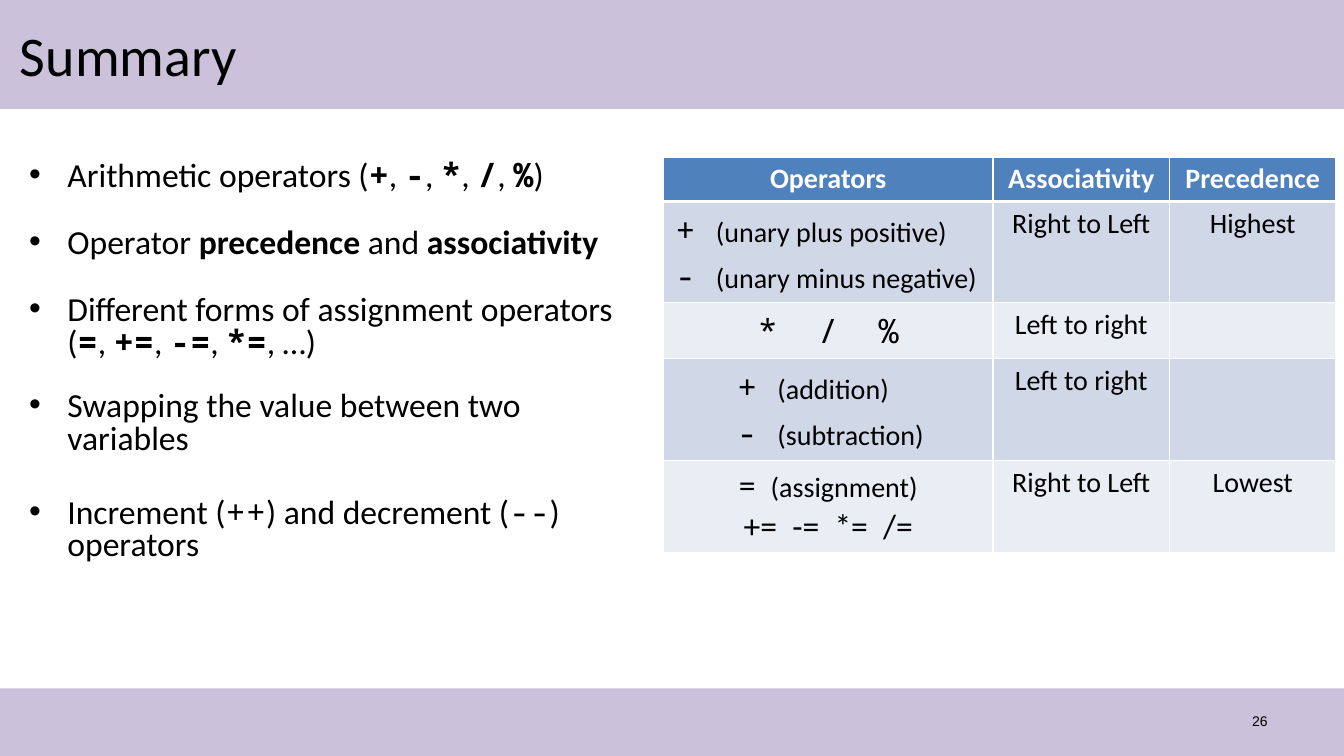
from lxml import etree
from pptx import Presentation
from pptx.dml.color import RGBColor
from pptx.enum.shapes import MSO_SHAPE
from pptx.enum.text import MSO_ANCHOR, PP_ALIGN
from pptx.oxml.ns import qn
from pptx.util import Inches, Pt

COLORS = {
    "band": "CCC1DA",
    "text": "000000",
    "white": "FFFFFF",
    "header": "4F81BD",
    "odd row": "D0D8E8",
    "even row": "E9EDF4",
}
SANS, MONO = "Calibri", "Noto Sans Mono"


def add_run(paragraph, text, size, font=SANS, bold=False, color="text", spacing=0):
    """Append a styled run; spacing widens its characters, in points."""
    run = paragraph.add_run()
    run.text = text
    run.font.size = Pt(size)
    run.font.name = font
    run.font.bold = bold
    run.font.color.rgb = RGBColor.from_string(COLORS[color])
    if spacing:
        run.font._element.set("spc", str(round(spacing * 100)))


def add_text_frame(left, top, width, height, anchor):
    box = slide.shapes.add_textbox(Inches(left), Inches(top), Inches(width), Inches(height))
    box.text_frame.word_wrap = True
    box.text_frame.vertical_anchor = anchor
    return box.text_frame


presentation = Presentation()
presentation.slide_width = Inches(13.33)
presentation.slide_height = Inches(7.5)
slide = presentation.slides.add_slide(presentation.slide_layouts[6])

# Bands, title and page number
for top, height in [(0, 1.08), (6.83, 0.67)]:
    band = slide.shapes.add_shape(
        MSO_SHAPE.RECTANGLE, 0, Inches(top), presentation.slide_width, Inches(height))
    band.shadow.inherit = False
    band.fill.solid()
    band.fill.fore_color.rgb = RGBColor.from_string(COLORS["band"])
    band.line.fill.background()

page_number = add_text_frame(9.56, 6.95, 3.11, 0.4, MSO_ANCHOR.MIDDLE).paragraphs[0]
page_number.alignment = PP_ALIGN.RIGHT
add_run(page_number, "26", 10, "Arial")

title = add_text_frame(0.1, 0.08, 12, 0.92, MSO_ANCHOR.MIDDLE).paragraphs[0]
add_run(title, "Summary", 40)

# Bullets: space before in points, then runs of (text, font, bold)
COMMA = (", ", SANS, False)
bullets = [
    (0, [("Arithmetic operators (", SANS, False),
         ("+", MONO, True), COMMA, ("-", MONO, True), COMMA, ("*", MONO, True), COMMA,
         ("/", MONO, True), COMMA, ("%", MONO, True), (")", SANS, False)]),
    (24.5, [("Operator ", SANS, False), ("precedence", SANS, True),
            (" and ", SANS, False), ("associativity", SANS, True)]),
    (25, [("Different forms of assignment operators (", SANS, False),
          ("=", MONO, True), COMMA, ("+=", MONO, True), COMMA, ("-=", MONO, True), COMMA,
          ("*=", MONO, True), (", …)", SANS, False)]),
    (22.5, [("Swapping the value between two variables", SANS, False)]),
    (30, [("Increment (", SANS, False), ("++", MONO, False),
          (") and decrement (", SANS, False), ("--", MONO, False),
          (") operators", SANS, False)]),
]
body = add_text_frame(0.19, 1.56, 6.15, 5.39, MSO_ANCHOR.TOP)
for index, (space_before, runs) in enumerate(bullets):
    paragraph = body.add_paragraph() if index else body.paragraphs[0]
    properties = paragraph._p.get_or_add_pPr()
    properties.set("marL", str(Inches(0.38)))
    properties.set("indent", str(Inches(-0.38)))
    etree.SubElement(properties, qn("a:buFont")).set("typeface", "Arial")
    etree.SubElement(properties, qn("a:buChar")).set("char", "•")
    paragraph.line_spacing = 0.8
    paragraph.space_before = Pt(space_before)
    for text, font, bold in runs:
        add_run(paragraph, text, 24, font, bold)

# Operator table: row height, left margin of a left-aligned first cell,
# lines of (text, size, font, spacing) in the first cell, the other two cells
MONO_GAP = (" ", 24, MONO, 14.4)
SANS_GAP = (" ", 24, SANS, 5.4)
rows = [
    (0.44, None, [[("Operators", 20, SANS, 0)]], "Associativity", "Precedence"),
    (1.0, 0.12, [[("+ ", 24, MONO, 0), ("(unary plus positive)", 20, SANS, 0)],
                 [("- ", 24, MONO, 0), ("(unary minus negative)", 20, SANS, 0)]],
     "Right to Left", "Highest"),
    (0.56, None, [[("*", 24, MONO, 0), MONO_GAP, ("/", 24, MONO, 0), MONO_GAP,
                   ("%", 24, MONO, 0)]], "Left to right", ""),
    (1.01, 0.73, [[("+ ", 24, MONO, 0), ("(addition)", 20, SANS, 0)],
                  [("- ", 24, MONO, 0), ("(subtraction)", 20, SANS, 0)]],
     "Left to right", ""),
    (0.91, None, [[("=", 24, SANS, 0), SANS_GAP, ("(assignment)", 20, SANS, 0)],
                  [("+=", 24, SANS, 0), SANS_GAP, ("-=", 24, SANS, 0), SANS_GAP,
                   ("*=", 24, SANS, 0), SANS_GAP, ("/=", 24, SANS, 0)]],
     "Right to Left", "Lowest"),
]
table = slide.shapes.add_table(
    len(rows), 3, Inches(6.58), Inches(1.56), Inches(6.67), Inches(3.92)).table
for column, width in zip(table.columns, [3.27, 1.75, 1.65]):
    column.width = Inches(width)

for row_index, (height, left_margin, operator_lines, *labels) in enumerate(rows):
    table.rows[row_index].height = Inches(height)
    is_header = row_index == 0
    fill = "header" if is_header else "odd row" if row_index % 2 else "even row"
    text_color = "white" if is_header else "text"
    label_lines = [[[(label, 20, SANS, 0)]] if label else [] for label in labels]
    for column_index, lines in enumerate([operator_lines, *label_lines]):
        cell = table.cell(row_index, column_index)
        left_aligned = column_index == 0 and left_margin is not None
        if left_aligned:
            cell.margin_left = Inches(left_margin)
            cell.margin_right = Inches(0.05)
        for line_index, runs in enumerate(lines):
            frame = cell.text_frame
            paragraph = frame.add_paragraph() if line_index else frame.paragraphs[0]
            paragraph.alignment = PP_ALIGN.LEFT if left_aligned else PP_ALIGN.CENTER
            for text, size, font, spacing in runs:
                add_run(paragraph, text, size, font, is_header, text_color, spacing)

        cell_properties = cell._tc.get_or_add_tcPr()
        for side in ["lnL", "lnR", "lnT", "lnB"]:
            thick = (is_header and side == "lnB") or (row_index == 1 and side == "lnT")
            border = etree.SubElement(cell_properties, qn(f"a:{side}"))
            border.set("w", str(Pt(3 if thick else 1)))
            border_fill = etree.SubElement(border, qn("a:solidFill"))
            etree.SubElement(border_fill, qn("a:srgbClr")).set("val", COLORS["white"])
        cell.fill.solid()
        cell.fill.fore_color.rgb = RGBColor.from_string(COLORS[fill])

presentation.save("out.pptx")
